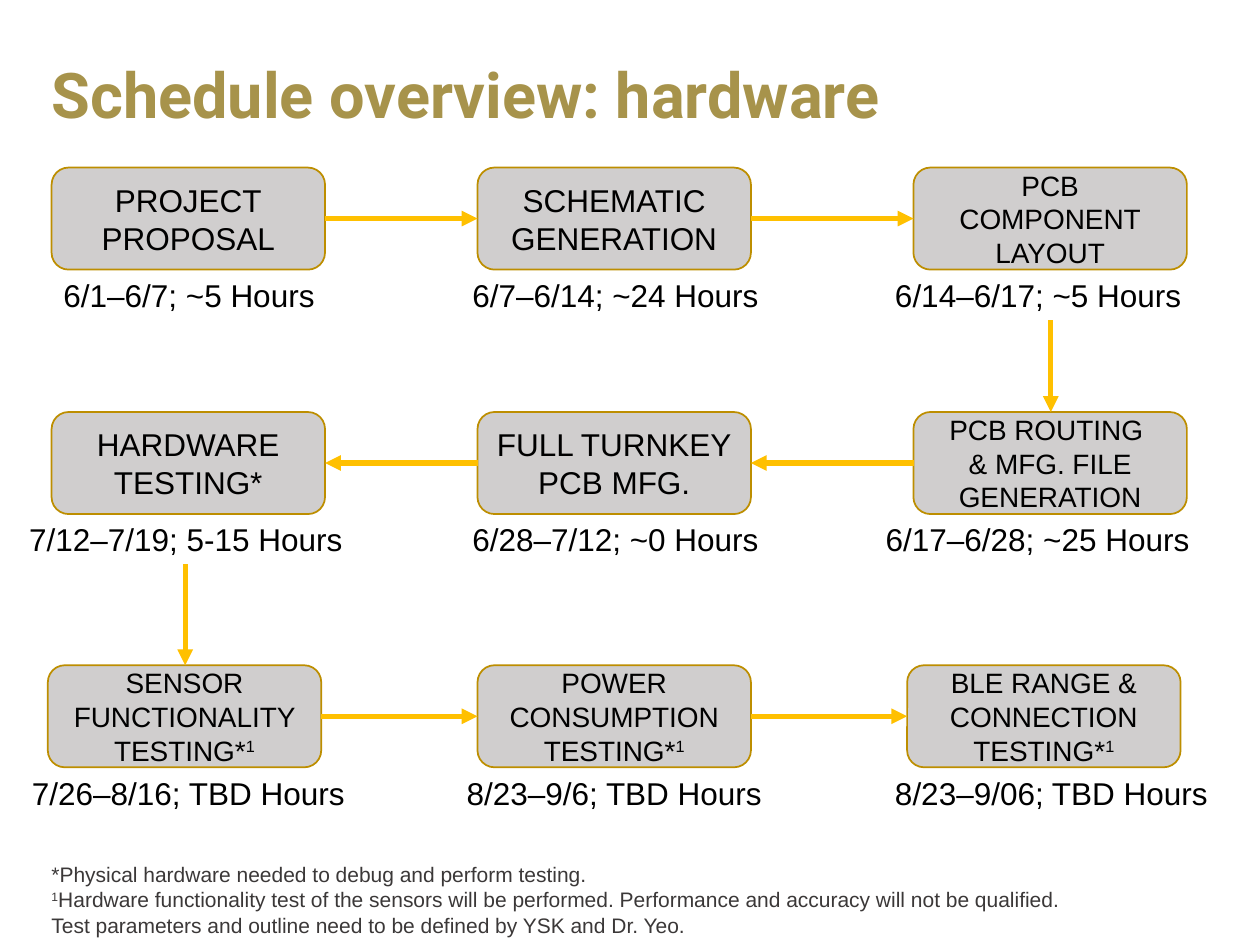
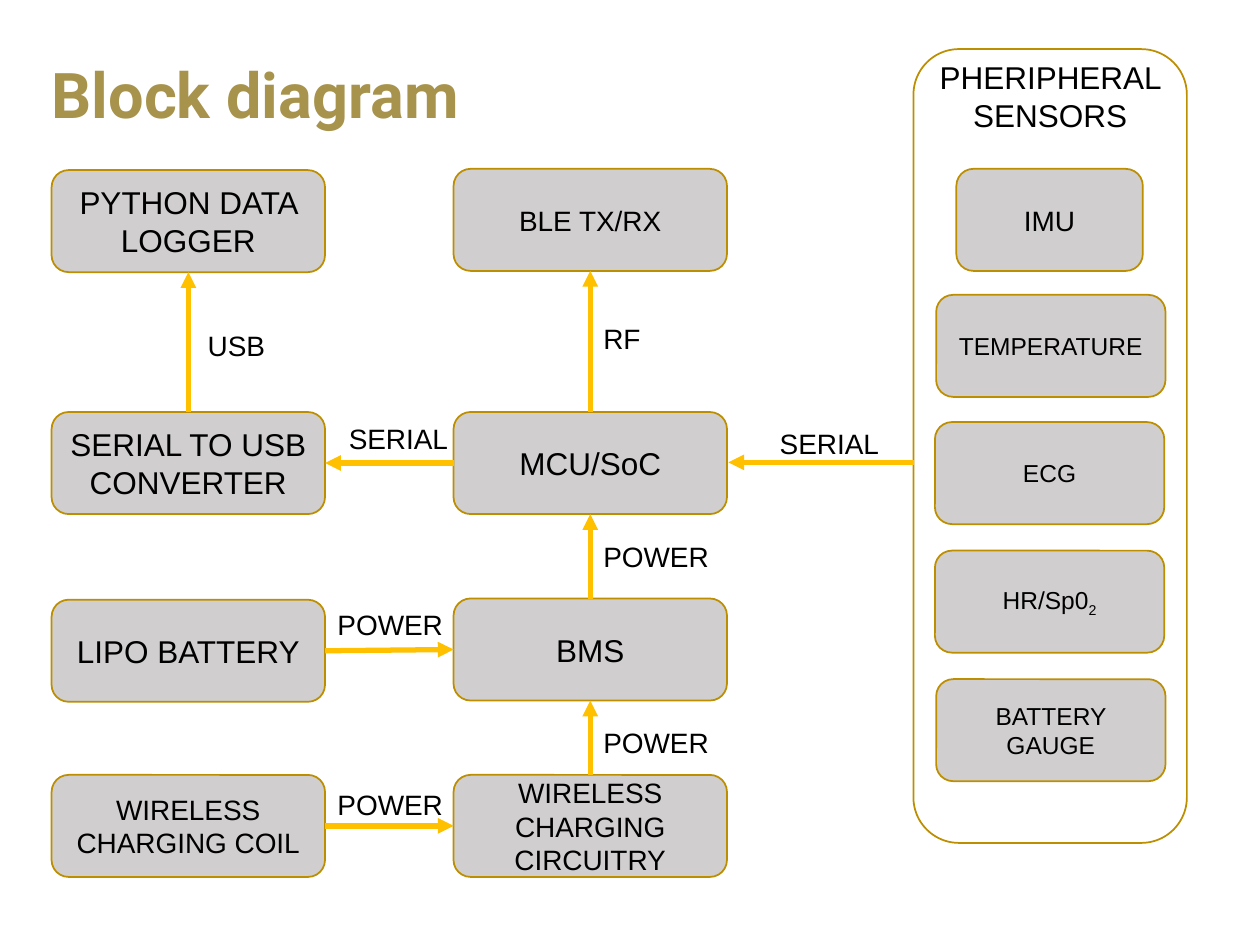
from dataclasses import dataclass
from itertools import pairwise

from lxml.etree import SubElement
from pptx import Presentation
from pptx.dml.color import RGBColor
from pptx.enum.shapes import MSO_CONNECTOR, MSO_SHAPE
from pptx.enum.text import MSO_ANCHOR, MSO_AUTO_SIZE, PP_ALIGN
from pptx.oxml.ns import qn
from pptx.util import Inches, Pt


@dataclass(frozen=True)
class Theme:
    """Colours, fonts, type sizes and shared box measures."""
    gold: RGBColor = RGBColor(0xA7, 0x93, 0x4B)
    outline: RGBColor = RGBColor(0xBD, 0x8E, 0x00)
    arrow: RGBColor = RGBColor(0xFF, 0xC0, 0x00)
    box: RGBColor = RGBColor(0xD0, 0xCE, 0xCE)
    text: RGBColor = RGBColor(0, 0, 0)
    note: RGBColor = RGBColor(0x3B, 0x38, 0x38)
    title_font: str = "Roboto"
    body_font: str = "Arial"
    title_size: int = 36
    large: int = 18
    medium: int = 16
    small: int = 14
    note_size: int = 12
    box_width: float = 2.17
    box_height: float = 0.81


THEME = Theme()
TOP, LEFT, BOTTOM, RIGHT = range(4)
BASELINES = {"¹": ("1", 30000), "₂": ("2", -25000)}

SCHEDULE_TOPS = (1.33, 3.27, 5.28)
SCHEDULE_ROWS = (
    ((0.41, "PROJECT\nPROPOSAL", THEME.large, "6/1–6/7; ~5 Hours", 0.29, 2.42),
     (3.79, "SCHEMATIC\nGENERATION", THEME.large, "6/7–6/14; ~24 Hours", 3.57, 2.63),
     (7.25, "PCB COMPONENT\nLAYOUT", THEME.medium, "6/14–6/17; ~5 Hours", 6.96, 2.56)),
    ((7.25, "PCB ROUTING \n& MFG. FILE GENERATION", THEME.medium,
      "6/17–6/28; ~25 Hours", 6.92, 2.63),
     (3.79, "FULL TURNKEY\nPCB MFG.", THEME.large, "6/28–7/12; ~0 Hours", 3.57, 2.63),
     (0.41, "HARDWARE\nTESTING*", THEME.large, "7/12–7/19; 5-15 Hours", 0.05, 2.85)),
    ((0.38, "SENSOR FUNCTIONALITY TESTING*¹", THEME.medium,
      "7/26–8/16; TBD Hours", 0.07, 2.85),
     (3.79, "POWER CONSUMPTION TESTING*¹", THEME.medium,
      "8/23–9/6; TBD Hours", 3.51, 2.73),
     (7.2, "BLE RANGE & CONNECTION\nTESTING*¹", THEME.medium,
      "8/23–9/06; TBD Hours", 6.98, 2.73)),
)
FOOTNOTES = (
    "*Physical hardware needed to debug and perform testing.\n"
    "¹Hardware functionality test of the sensors will be performed. "
    "Performance and accuracy will not be qualified. "
    "Test parameters and outline need to be defined by YSK and Dr. Yeo."
)

BLOCKS = {
    "logger": (0.41, 1.35, "PYTHON DATA LOGGER", THEME.large),
    "radio": (3.6, 1.34, "BLE TX/RX", THEME.medium),
    "converter": (0.41, 3.27, "SERIAL TO USB CONVERTER", THEME.large),
    "controller": (3.6, 3.27, "MCU/SoC", THEME.large),
    "battery": (0.41, 4.76, "LIPO BATTERY", THEME.large),
    "manager": (3.6, 4.75, "BMS", THEME.large),
    "coil": (0.41, 6.15, "WIRELESS\nCHARGING COIL", THEME.medium),
    "charger": (3.6, 6.15, "WIRELESS CHARGING CIRCUITRY", THEME.medium),
}
BLOCK_LINKS = (
    ("converter", TOP, "logger", BOTTOM),
    ("controller", TOP, "radio", BOTTOM),
    ("controller", LEFT, "converter", RIGHT),
    ("manager", TOP, "controller", BOTTOM),
    ("charger", TOP, "manager", BOTTOM),
    ("battery", RIGHT, "manager", LEFT),
    ("coil", RIGHT, "charger", LEFT),
)
LINK_LABELS = (
    ("USB", 1.55, 2.56, 1),
    ("RF", 4.69, 2.5, 1.09),
    ("SERIAL", 2.67, 3.3, 1),
    ("SERIAL", 6.09, 3.34, 1),
    ("POWER", 4.69, 4.23, 1.09),
    ("POWER", 2.58, 4.77, 1.09),
    ("POWER", 4.69, 5.71, 1.09),
    ("POWER", 2.58, 6.2, 1.09),
)
SENSORS = (
    ("IMU", 7.59, 1.34, 1.48, THEME.medium),
    ("TEMPERATURE", 7.43, 2.34, 1.82, THEME.small),
    ("ECG", 7.42, 3.35, 1.82, THEME.small),
    ("HR/Sp0₂", 7.42, 4.37, 1.82, THEME.small),
    ("BATTERY GAUGE", 7.43, 5.39, 1.82, THEME.small),
)


def add_runs(paragraph, text):
    """Add text, giving raised and lowered digits a run of their own."""
    plain = ""
    for character in text:
        if character not in BASELINES:
            plain += character
            continue
        if plain:
            paragraph.add_run().text = plain
            plain = ""
        digit, baseline = BASELINES[character]
        run = paragraph.add_run()
        run.text = digit
        run.font._element.set("baseline", str(baseline))
    if plain:
        paragraph.add_run().text = plain


def write_text(frame, text, size, color=THEME.text, align=PP_ALIGN.CENTER):
    """Fill a text frame with one paragraph for each line of text."""
    frame.word_wrap = True
    for index, line in enumerate(text.split("\n")):
        paragraph = frame.add_paragraph() if index else frame.paragraphs[0]
        add_runs(paragraph, line)
        paragraph.alignment = align
        paragraph.font.name = THEME.body_font
        paragraph.font.size = Pt(size)
        paragraph.font.color.rgb = color


def add_titled_slide(presentation, text):
    """Add a title-only slide with the shared title style."""
    slide = presentation.slides.add_slide(presentation.slide_layouts[5])
    title = slide.shapes.title
    title.left, title.top = Inches(0.31), Inches(0.22)
    title.width, title.height = Inches(9.38), Inches(1.11)
    frame = title.text_frame
    frame.text = text
    frame.auto_size = MSO_AUTO_SIZE.NONE
    frame.vertical_anchor = MSO_ANCHOR.MIDDLE
    paragraph = frame.paragraphs[0]
    paragraph.alignment = PP_ALIGN.LEFT
    paragraph.line_spacing = 0.9
    paragraph.font.name = THEME.title_font
    paragraph.font.size = Pt(THEME.title_size)
    paragraph.font.bold = True
    paragraph.font.color.rgb = THEME.gold
    return slide


def add_outline(slide, left, top, width, height):
    """Add an unfilled rounded rectangle with the shared outline."""
    shape = slide.shapes.add_shape(
        MSO_SHAPE.ROUNDED_RECTANGLE,
        Inches(left), Inches(top), Inches(width), Inches(height))
    shape.shadow.inherit = False
    shape.fill.background()
    shape.line.color.rgb = THEME.outline
    shape.line.width = Pt(1)
    return shape


def add_box(slide, left, top, text, size, width=THEME.box_width):
    """Add a filled, labelled box."""
    box = add_outline(slide, left, top, width, THEME.box_height)
    box.fill.solid()
    box.fill.fore_color.rgb = THEME.box
    box.text_frame.vertical_anchor = MSO_ANCHOR.MIDDLE
    write_text(box.text_frame, text, size)
    return box


def add_label(slide, left, top, width, height, text, size, **style):
    """Add a text box that grows with its text."""
    label = slide.shapes.add_textbox(
        Inches(left), Inches(top), Inches(width), Inches(height))
    write_text(label.text_frame, text, size, **style)
    label.text_frame.auto_size = MSO_AUTO_SIZE.SHAPE_TO_FIT_TEXT


def add_arrow(slide, start=(0, 0), end=(0, 0)):
    """Add a straight arrow between two points."""
    arrow = slide.shapes.add_connector(
        MSO_CONNECTOR.STRAIGHT, *map(Inches, start), *map(Inches, end))
    arrow.line.color.rgb = THEME.arrow
    arrow.line.width = Pt(3)
    SubElement(arrow.line._get_or_add_ln(), qn("a:tailEnd"), type="triangle")
    SubElement(arrow._element.spPr, qn("a:effectLst"))
    return arrow


def link_boxes(slide, source, exit_side, target, entry_side):
    """Add an arrow attached to a side of each of two boxes."""
    arrow = add_arrow(slide)
    arrow.begin_connect(source, exit_side)
    arrow.end_connect(target, entry_side)


def build_schedule(presentation):
    """Build the schedule that snakes through three rows of steps."""
    slide = add_titled_slide(presentation, "Schedule overview: hardware")
    for top, steps in zip(SCHEDULE_TOPS, SCHEDULE_ROWS):
        boxes = []
        for left, text, size, dates, dates_left, dates_width in steps:
            boxes.append(add_box(slide, left, top, text, size))
            add_label(slide, dates_left, top + THEME.box_height, dates_width, 0.4,
                      dates, THEME.large)
        for source, target in pairwise(boxes):
            forward = source.left < target.left
            sides = (RIGHT, LEFT) if forward else (LEFT, RIGHT)
            link_boxes(slide, source, sides[0], target, sides[1])
    for center, (top, next_top) in zip((8.34, 1.47), pairwise(SCHEDULE_TOPS)):
        add_arrow(slide, (center, top + 1.21), (center, next_top))
    add_label(slide, 0.31, 6.79, 8.45, 0.71, FOOTNOTES, THEME.note_size,
              color=THEME.note, align=PP_ALIGN.LEFT)


def build_block_diagram(presentation):
    """Build the block diagram with its panel of sensors."""
    slide = add_titled_slide(presentation, "Block diagram")
    add_outline(slide, 7.25, 0.39, THEME.box_width, 6.3)
    add_label(slide, 7.25, 0.41, THEME.box_width, 0.71,
              "PHERIPHERAL SENSORS", THEME.large)
    for text, left, top, width, size in SENSORS:
        add_box(slide, left, top, text, size, width)
    boxes = {name: add_box(slide, *block) for name, block in BLOCKS.items()}
    for source, exit_side, target, entry_side in BLOCK_LINKS:
        link_boxes(slide, boxes[source], exit_side, boxes[target], entry_side)
    add_arrow(slide, (7.25, 3.67), (5.78, 3.67))
    for text, left, top, width in LINK_LABELS:
        add_label(slide, left, top, width, 0.37, text, THEME.medium,
                  align=PP_ALIGN.LEFT)


def main():
    """Build and save the presentation."""
    presentation = Presentation()
    presentation.slide_width = Inches(10)
    presentation.slide_height = Inches(7.5)
    build_schedule(presentation)
    build_block_diagram(presentation)
    presentation.save("out.pptx")


if __name__ == "__main__":
    main()
